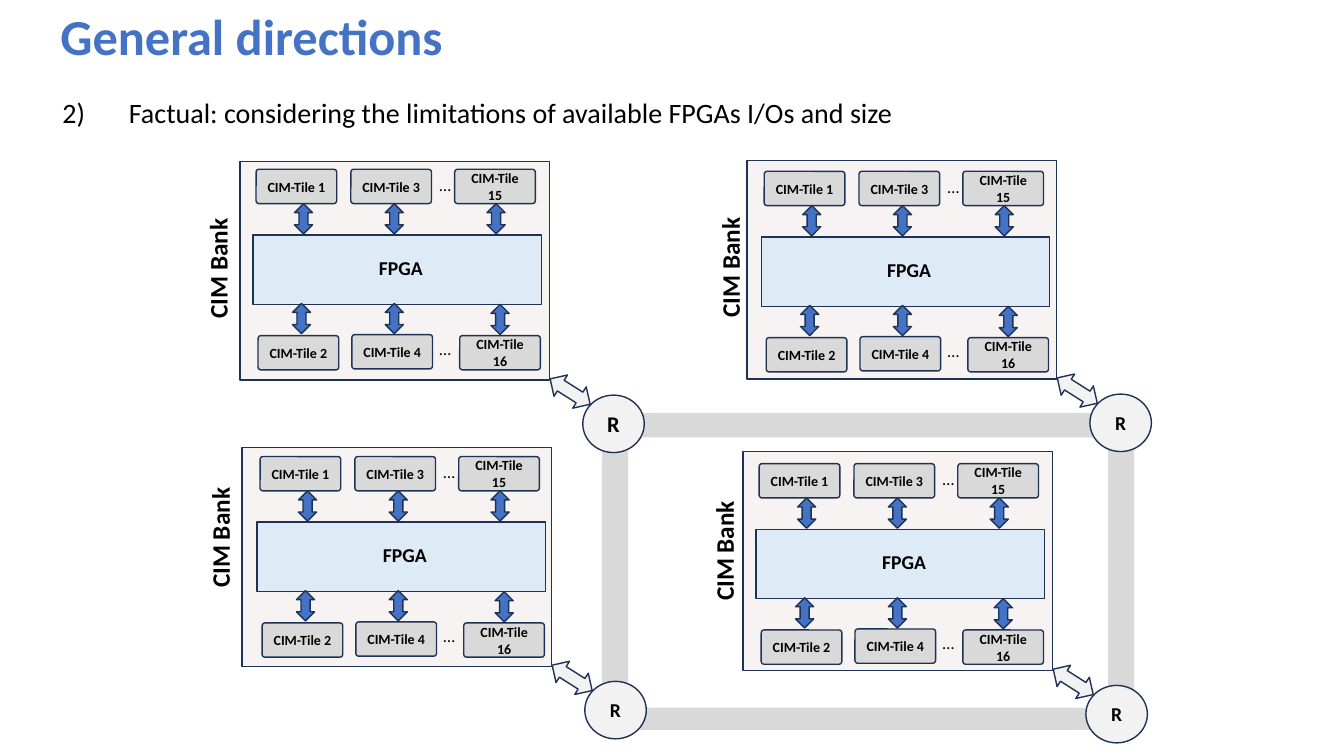
"""Build the slide showing four CIM banks joined by a ring of routers."""
from pptx import Presentation
from pptx.dml.color import RGBColor
from pptx.enum import shapes, text
from pptx.oxml import parse_xml
from pptx.oxml.ns import nsdecls
from pptx.util import Inches, Pt

COLORS = {
    "title": "4472C4", "text": "000000", "ring": "D9D9D9", "bank": "F7F3F3",
    "fpga": "DEEBF7", "tile": "D9D9D9", "link": "4472C4", "router": "F2F2F2",
    "outline": "1E3256",
}
KINDS = shapes.MSO_SHAPE


def write(box, words, size, bold=True, color="text", align=text.PP_ALIGN.LEFT):
    """Put one formatted paragraph in a box and return it."""
    para = box.text_frame.paragraphs[0]
    span = para.add_run()
    span.text = words
    para.alignment = align
    formats = {"name": "Calibri", "size": Pt(size), "bold": bold}
    for name, value in formats.items():
        setattr(span.font, name, value)
    span.font.color.rgb = RGBColor.from_string(COLORS[color])
    return para


def draw(kind, place, fill, outlined=True, turn=0, words="", size=10):
    """Add a filled preset shape, with centred words if given."""
    shape = page.shapes.add_shape(kind, *map(Inches, place))
    shape.shadow.inherit = False
    shape.rotation = turn
    shape.fill.solid()
    shape.fill.fore_color.rgb = RGBColor.from_string(COLORS[fill])
    if outlined:
        shape.line.color.rgb = RGBColor.from_string(COLORS["outline"])
        shape.line.width = Pt(1)
    else:
        shape.line.fill.background()
    if kind == KINDS.ROUNDED_RECTANGLE:
        shape.adjustments[0] = 0.084
    if words:
        shape.text_frame.vertical_anchor = text.MSO_ANCHOR.MIDDLE
        write(shape, words, size, align=text.PP_ALIGN.CENTER)


deck = Presentation()
deck.slide_width, deck.slide_height = Inches(13.33), Inches(7.5)
page = deck.slides.add_slide(deck.slide_layouts[5])

title = page.shapes.title
title_place = {"left": 0, "top": 0, "width": 13.33, "height": 0.71}
for name, value in title_place.items():
    setattr(title, name, Inches(value))
title.text_frame.auto_size = text.MSO_AUTO_SIZE.NONE
heading = write(title, "General directions", 36, color="title")
heading._p.get_or_add_pPr().set("marL", str(Inches(0.5)))

point = page.shapes.add_textbox(*map(Inches, (0.52, 0.9, 8.58, 0.44)))
point.text_frame.word_wrap = True
para = write(point, "2)\tFactual: considering the limitations of available FPGAs I/Os and size",
             20, bold=False)
props = para._p.get_or_add_pPr()
props.set("marL", str(Inches(0.66)))
props.set("indent", str(-Inches(0.66)))
props.append(parse_xml(
    f'<a:tabLst {nsdecls("a")}><a:tab pos="{Inches(0.66)}" algn="l"/></a:tabLst>'))

ring = [(10.99, 4.41, 0.26, 2.52), (5.97, 4.47, 0.26, 2.3),
        (6.34, 7.02, 4.51, 0.22), (6.37, 4.1, 4.49, 0.24)]
for place in ring:
    draw(KINDS.RECTANGLE, place, "ring", outlined=False)

tiles = [(1, 0.03, -0.65), (2, 0.05, 1), (3, 0.97, -0.65),
         (4, 0.98, 0.99), (15, 2, -0.65), (16, 2.05, 1)]
links = [(0.35, -0.25), (1.25, -0.25), (2.26, -0.25),
         (0.33, 0.74), (1.25, 0.74), (2.3, 0.75)]
captions = [("FPGA", 1.15, 0.16, 0.72, 0.37, 14, True),
            ("…", 1.75, -0.65, 0.36, 0.33, 12, False),
            ("…", 1.75, 0.98, 0.36, 0.33, 12, False)]
banks = [
    {"frame": (2.38, 1.6), "fpga": (2.51, 2.33), "label": (1.56, 2.46), "size": 16},
    {"frame": (7.41, 1.59), "fpga": (7.55, 2.35), "label": (6.64, 2.45), "size": 14},
    {"frame": (2.4, 4.44), "fpga": (2.55, 5.18), "label": (1.58, 5.13), "size": 14},
    {"frame": (7.37, 4.48), "fpga": (7.5, 5.25), "label": (6.58, 5.26), "size": 14},
]
for bank in banks:
    left, top = bank["frame"]
    x, y = bank["fpga"]
    draw(KINDS.RECTANGLE, (left, top, 3.07, 2.17), "bank")
    draw(KINDS.RECTANGLE, (x, y, 2.86, 0.69), "fpga")
    for number, dx, dy in tiles:
        draw(KINDS.ROUNDED_RECTANGLE, (x + dx, y + dy, 0.8, 0.34), "tile",
             words=f"CIM-Tile {number}")
    for dx, dy in links:
        draw(KINDS.LEFT_RIGHT_ARROW, (x + dx, y + dy, 0.3, 0.18), "link", turn=90)
    for words, dx, dy, width, height, size, bold in captions:
        box = page.shapes.add_textbox(*map(Inches, (x + dx, y + dy, width, height)))
        box.text_frame.word_wrap = False
        write(box, words, size, bold)
    draw(KINDS.OVAL, (left + 3.4, top + 2.32, 0.61, 0.57), "router",
         words="R", size=bank["size"])
    draw(KINDS.LEFT_RIGHT_ARROW, (left + 3.04, top + 2.16, 0.47, 0.25), "router", turn=32.4)
    label = page.shapes.add_textbox(*map(Inches, (*bank["label"], 1.2, 0.4)))
    label.rotation = 270
    label.text_frame.word_wrap = False
    write(label, "CIM Bank", 18)

deck.save("out.pptx")
